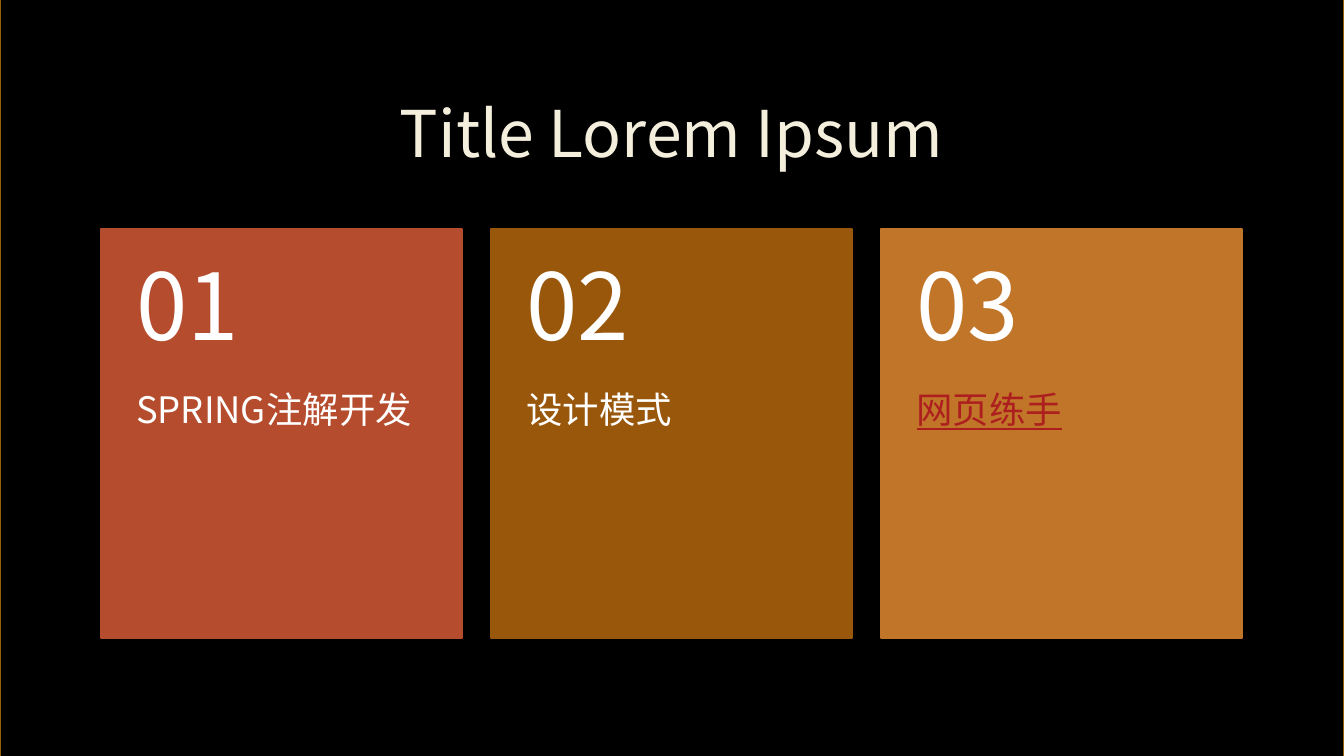
from lxml.etree import SubElement
from pptx import Presentation
from pptx.dml.color import RGBColor
from pptx.enum.shapes import MSO_SHAPE as Shape
from pptx.enum.text import MSO_ANCHOR as Anchor, PP_ALIGN as Align
from pptx.oxml.ns import qn
from pptx.util import Inches, Pt

FONT = "Noto Sans CJK SC"
BLACK = RGBColor(0x00, 0x00, 0x00)
WHITE = RGBColor(0xFF, 0xFF, 0xFF)
CREAM = RGBColor(0xF4, 0xEE, 0xDC)
FRAME = RGBColor(0x97, 0x61, 0x0A)
RED = RGBColor(0xB5, 0x4C, 0x2D)
BROWN = RGBColor(0x99, 0x57, 0x0C)
ORANGE = RGBColor(0xC1, 0x75, 0x29)
CRIMSON = RGBColor(0xAD, 0x1F, 0x1F)

LEFT, TOP, WIDTH, HEIGHT = 1, 2.27, 3.58, 4.06
PITCH, NUMBER_HEIGHT = 3.87, 1.62
CARDS = [
    ("SPRING注解开发", RED, WHITE, False),
    ("设计模式", BROWN, WHITE, False),
    ("网页练手", ORANGE, CRIMSON, True),
]


def write(sp, text, size, color, align=Align.LEFT, underline=None):
    """Set and format one line of text in a shape."""
    tf = sp.text_frame
    tf.word_wrap = True
    tf.text = text
    p = tf.paragraphs[0]
    p.alignment = align
    p.line_spacing = 0.9
    for r in p.runs:
        r.font.name = FONT
        r.font.size = Pt(size)
        r.font.color.rgb = color
        r.font.underline = underline
        SubElement(r.font._element, qn("a:ea"), typeface=FONT)
    return tf


def add_title(s, text):
    """Place the slide title."""
    sp = s.shapes.title
    sp.left, sp.top = Inches(1), Inches(0.67)
    sp.width, sp.height = Inches(11.32), Inches(1.38)
    tf = write(sp, text, 46, CREAM, Align.CENTER)
    tf.vertical_anchor = Anchor.MIDDLE


def add_rect(shapes, left, top, width, height, line, fill=None):
    """Add an outlined rectangle, filled if a fill is given."""
    sp = shapes.add_shape(Shape.RECTANGLE, Inches(left), Inches(top),
                          Inches(width), Inches(height))
    sp.shadow.inherit = False
    sp.line.color.rgb = line
    sp.line.width = Pt(1.25)
    if fill is None:
        sp.fill.background()
    else:
        sp.fill.solid()
        sp.fill.fore_color.rgb = fill
    return sp


def add_label(shapes, left, top, height, margins, anchor, *style, **options):
    """Add a text box as wide as a card."""
    sp = shapes.add_textbox(Inches(left), Inches(top), Inches(WIDTH), Inches(height))
    tf = write(sp, *style, **options)
    tf.margin_left = tf.margin_right = Inches(0.35)
    tf.margin_top, tf.margin_bottom = (Inches(m) for m in margins)
    tf.vertical_anchor = anchor


def add_card(s, index, text, fill, color, underlined):
    """Add a numbered card as a group."""
    left = LEFT + index * PITCH
    shapes = s.shapes.add_group_shape().shapes
    add_rect(shapes, left, TOP, WIDTH, HEIGHT, fill, fill)
    add_label(shapes, left, TOP + NUMBER_HEIGHT, HEIGHT - NUMBER_HEIGHT, (0, 0.36),
              Anchor.TOP, text, 26, color, underline=underlined)
    add_label(shapes, left, TOP, NUMBER_HEIGHT, (0.18, 0.18),
              Anchor.MIDDLE, f"{index + 1:02}", 66, WHITE)


def main():
    """Build the slide and save it."""
    prs = Presentation()
    prs.slide_width, prs.slide_height = Inches(13.33), Inches(7.5)
    s = prs.slides.add_slide(prs.slide_layouts[5])
    s.background.fill.solid()
    s.background.fill.fore_color.rgb = BLACK
    add_rect(s.shapes, 0, -0.08, 13.33, 7.66, FRAME)
    add_title(s, "Title Lorem Ipsum")
    for index, card in enumerate(CARDS):
        add_card(s, index, *card)
    prs.save("out.pptx")


if __name__ == "__main__":
    main()
